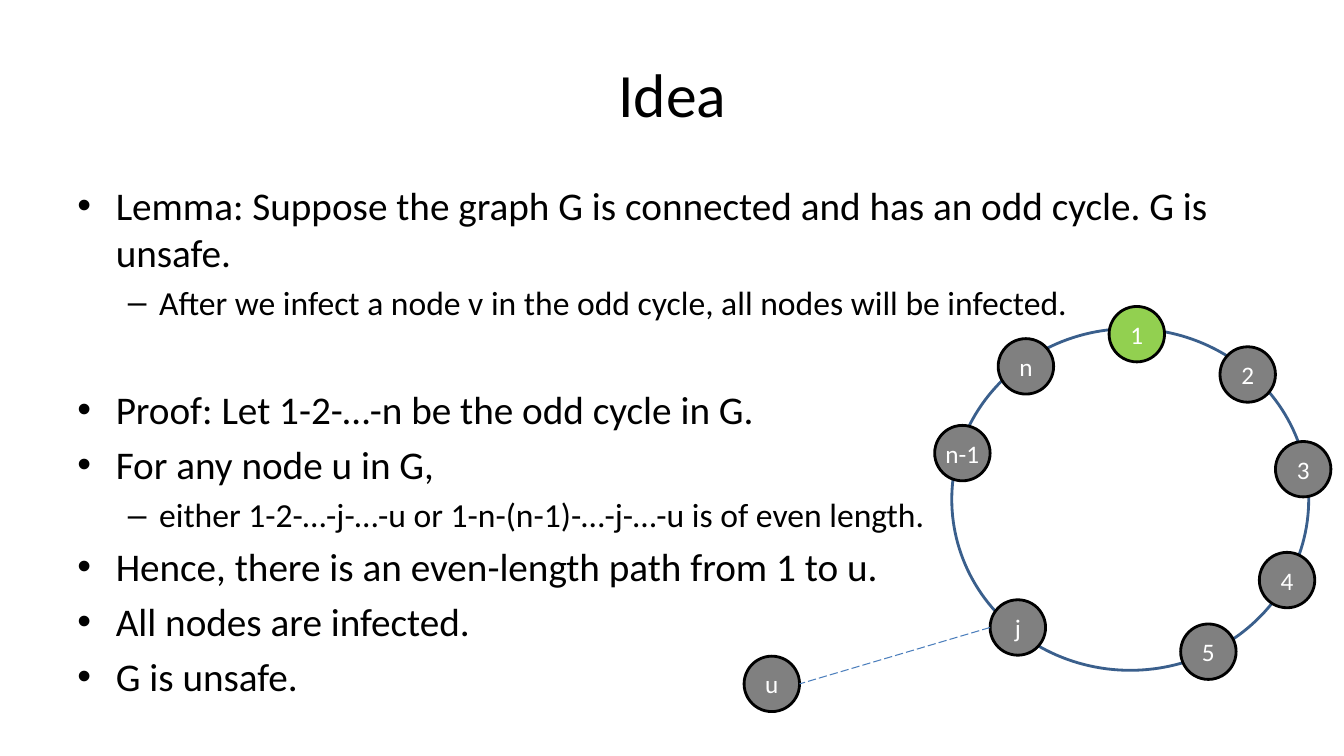
from lxml.etree import SubElement
from pptx import Presentation
from pptx.dml.color import RGBColor
from pptx.enum.dml import MSO_LINE
from pptx.enum.shapes import MSO_CONNECTOR, MSO_SHAPE
from pptx.enum.text import MSO_ANCHOR, PP_ALIGN
from pptx.oxml.ns import qn
from pptx.util import Inches, Pt

COLORS = {name: RGBColor.from_string(value) for name, value in {
    "text": "000000", "label": "FFFFFF", "outline": "000000", "node": "808080",
    "infected": "92D050", "cycle": "3A5F8C", "path": "4B7EBC"}.items()}
FONT = "Calibri"
NODE_SIZE = Inches(0.55)

# Per level: bullet, left margin, hanging indent, font size
LEVELS = [("•", 0.38, -0.38, 28), ("–", 0.81, -0.31, 24)]
# Level, text, extra space before in points
PROOF = [
    (0, "Lemma: Suppose the graph G is connected and has an odd cycle. G is unsafe.", 0),
    (1, "After we infect a node v in the odd cycle, all nodes will be infected.", 0),
    (0, "Proof: Let 1-2-…-n be the odd cycle in G.", 39.5),
    (0, "For any node u in G,", 0),
    (1, "either 1-2-…-j-…-u or 1-n-(n-1)-…-j-…-u is of even length.", 0),
    (0, "Hence, there is an even-length path from 1 to u.", 0),
    (0, "All nodes are infected.", 0),
    (0, "G is unsafe.", 0),
]
CYCLE_NODES = [("2", 12.1, 3.44), ("n", 9.9, 3.36), ("3", 12.65, 4.38),
               ("n-1", 9.27, 4.22), ("4", 12.49, 5.48), ("5", 11.71, 6.19)]


def style_font(font, size, color):
    font.name, font.size, font.color.rgb = FONT, Pt(size), COLORS[color]


def add_node(shapes, label, left, top, fill="node"):
    node = shapes.add_shape(MSO_SHAPE.OVAL, Inches(left), Inches(top), NODE_SIZE, NODE_SIZE)
    node.shadow.inherit = False
    node.fill.solid()
    node.fill.fore_color.rgb = COLORS[fill]
    node.line.color.rgb = COLORS["outline"]
    node.line.width = Pt(2)
    frame = node.text_frame
    frame.text = label
    frame.word_wrap = len(label) == 1
    frame.vertical_anchor = MSO_ANCHOR.MIDDLE
    frame.paragraphs[0].alignment = PP_ALIGN.CENTER
    style_font(frame.paragraphs[0].font, 18, "label")
    return node


prs = Presentation()
prs.slide_width, prs.slide_height = Inches(13.33), Inches(7.5)
slide = prs.slides.add_slide(prs.slide_layouts[5])

title = slide.shapes.title
title.left, title.top, title.width, title.height = map(Inches, (0.67, 0.3, 12, 1.25))
title.text_frame.text = "Idea"
title.text_frame.vertical_anchor = MSO_ANCHOR.MIDDLE
title.text_frame.paragraphs[0].alignment = PP_ALIGN.CENTER
style_font(title.text_frame.paragraphs[0].font, 44, "text")

body = slide.shapes.add_textbox(*map(Inches, (0.67, 1.75, 12, 4.95))).text_frame
body.word_wrap = True
for i, (level, text, gap) in enumerate(PROOF):
    bullet, margin, indent, size = LEVELS[level]
    paragraph = body.add_paragraph() if i else body.paragraphs[0]
    paragraph.text = text
    paragraph.level = level
    paragraph.space_before = Pt(0.2 * size + gap if i else 0)
    properties = paragraph._p.get_or_add_pPr()
    properties.set("marL", str(Inches(margin)))
    properties.set("indent", str(Inches(indent)))
    SubElement(properties, qn("a:buFont"), typeface="Arial")
    SubElement(properties, qn("a:buChar"), char=bullet)
    style_font(paragraph.font, size, "text")

cycle = slide.shapes.add_group_shape()
ring = cycle.shapes.add_shape(MSO_SHAPE.OVAL, *map(Inches, (9.44, 3.26, 3.54, 3.39)))
ring.shadow.inherit = False
ring.fill.background()
ring.line.color.rgb = COLORS["cycle"]
ring.line.width = Pt(2)
for label, left, top in CYCLE_NODES:
    add_node(cycle.shapes, label, left, top)

add_node(slide.shapes, "1", 11, 3.04, "infected")
node_j = add_node(slide.shapes, "j", 9.82, 5.95)
node_u = add_node(slide.shapes, "u", 7.38, 6.51)

path_to_u = slide.shapes.add_connector(
    MSO_CONNECTOR.STRAIGHT,
    node_j.left, node_j.top + NODE_SIZE // 2,
    node_u.left + NODE_SIZE, node_u.top + NODE_SIZE // 2)
path_to_u.line.color.rgb = COLORS["path"]
path_to_u.line.width = Pt(0.75)
path_to_u.line.dash_style = MSO_LINE.LONG_DASH
SubElement(path_to_u._element.spPr, qn("a:effectLst"))

prs.save("out.pptx")
